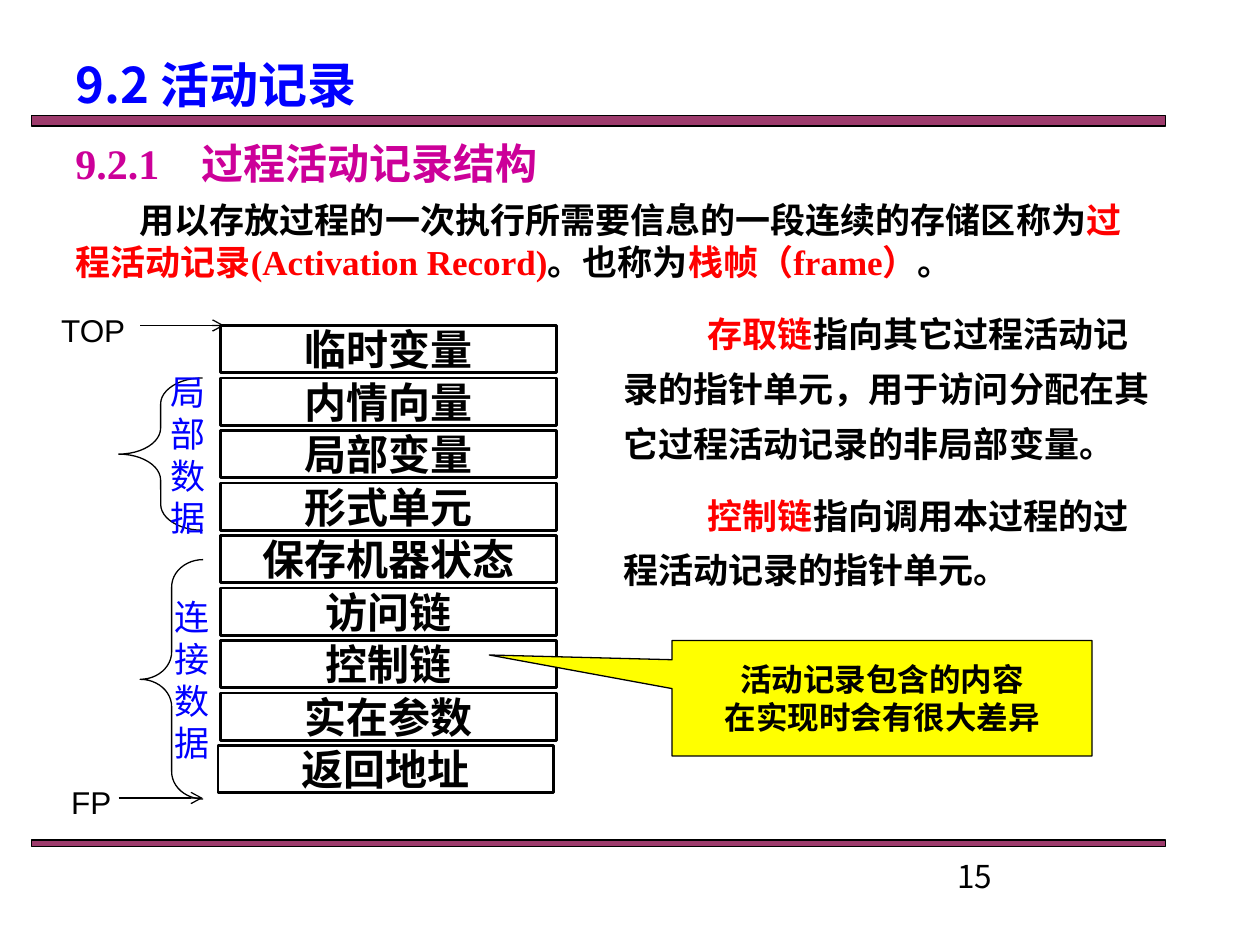
from dataclasses import dataclass
from lxml import etree
from pptx import Presentation
from pptx import util as u
from pptx.dml.color import RGBColor
from pptx.enum import shapes, text
from pptx.oxml.ns import qn


@dataclass(frozen=True)
class Theme:
    black: str = "000000"
    blue: str = "0000FF"
    red: str = "FF0000"
    magenta: str = "CC0099"
    plum: str = "993366"
    yellow: str = "FFFF00"
    cjk: str = "Noto Sans CJK SC"
    serif: str = "Times New Roman"
    sans: str = "Arial"
    title: int = 28
    heading: int = 24
    body: int = 20
    label: int = 18
    thin: float = 0.75
    thick: float = 1.5


THEME = Theme()
COLUMNS, ROWS = 24, 18
WIDTH, HEIGHT = u.Inches(10), u.Inches(7.5)
LEFT, CENTER = text.PP_ALIGN.LEFT, text.PP_ALIGN.CENTER
TOP, MIDDLE = text.MSO_ANCHOR.TOP, text.MSO_ANCHOR.MIDDLE


@dataclass(frozen=True)
class Box:
    x: float
    y: float
    w: float
    h: float

    def inner(self, x, y, w, h):
        return Box(self.x + x, self.y + y, w, h)

    def emu(self):
        return (int(self.x * WIDTH / COLUMNS), int(self.y * HEIGHT / ROWS),
                int(self.w * WIDTH / COLUMNS), int(self.h * HEIGHT / ROWS))


def assign(target, **values):
    for key, value in values.items():
        setattr(target, key, value)


def write(frame, paragraphs, size, font, color=THEME.black, bold=False,
          align=LEFT, anchor=TOP, wrap=True, indent=0, **spacing):
    assign(frame, word_wrap=wrap, vertical_anchor=anchor,
           auto_size=text.MSO_AUTO_SIZE.NONE)
    for index, runs in enumerate(paragraphs):
        paragraph = frame.paragraphs[0] if index == 0 else frame.add_paragraph()
        assign(paragraph, alignment=align, **spacing)
        if index == 0:
            paragraph.space_before = u.Pt(0)
        if indent:
            properties = paragraph._p.get_or_add_pPr()
            properties.set("marL", "0")
            properties.set("indent", str(u.Inches(indent)))
        for words, tint in ([(runs, color)] if isinstance(runs, str) else runs):
            run = paragraph.add_run()
            run.text = words
            assign(run.font, size=u.Pt(size), name=font, bold=bold)
            run.font.color.rgb = RGBColor.from_string(tint)
            latin = run._r.rPr.find(qn("a:latin"))
            east_asian = etree.Element(qn("a:ea"), typeface=THEME.cjk)
            latin.addnext(east_asian)


def text_area(slide, box, paragraphs, **style):
    area = slide.shapes.add_textbox(*box.emu())
    write(area.text_frame, paragraphs, **style)


def outlined(slide, kind, box, fill=None, weight=THEME.thin, adjust=()):
    figure = slide.shapes.add_shape(kind, *box.emu())
    figure.shadow.inherit = False
    if fill:
        figure.fill.solid()
        figure.fill.fore_color.rgb = RGBColor.from_string(fill)
    else:
        figure.fill.background()
    figure.line.color.rgb = RGBColor.from_string(THEME.black)
    figure.line.width = u.Pt(weight)
    for index, value in enumerate(adjust):
        figure.adjustments[index] = value
    return figure


def rules(slide, box):
    for y, height in ((0, 0.2), (13.8, 0.12)):
        bar = outlined(slide, shapes.MSO_SHAPE.RECTANGLE,
                       box.inner(0, y, box.w, height), THEME.plum)
        tint = bar._element.spPr.find(qn("a:solidFill")).find(qn("a:srgbClr"))
        etree.SubElement(tint, qn("a:alpha"), val="96000")


def title(slide, box):
    heading = slide.shapes.title
    assign(heading, **dict(zip(("left", "top", "width", "height"), box.emu())))
    write(heading.text_frame, ["9.2 活动记录"], THEME.title, THEME.cjk,
          THEME.blue, True, anchor=MIDDLE)


def definition(slide, box):
    text_area(slide, box.inner(0, 0, 15.4, 1.4), ["9.2.1　过程活动记录结构"],
              size=THEME.heading, font=THEME.serif, color=THEME.magenta,
              bold=True, anchor=MIDDLE)
    sentence = [
        ("用以存放过程的一次执行所需要信息的一段连续的存储区称为", THEME.black),
        ("过程活动记录(Activation Record)", THEME.red),
        ("。也称为", THEME.black),
        ("栈帧（frame）", THEME.red),
        ("。", THEME.black),
    ]
    text_area(slide, box.inner(0, 1.27, box.w, 3.14), [sentence],
              size=THEME.body, font=THEME.serif, bold=True, indent=0.51)


def record_fields(slide, box):
    fields = ("临时变量", "内情向量", "局部变量", "形式单元", "保存机器状态",
              "访问链", "控制链", "实在参数", "返回地址")
    pitch = box.h / len(fields)
    for row, field in enumerate(fields):
        shift = -0.05 if field == fields[-1] else 0
        cell = outlined(slide, shapes.MSO_SHAPE.RECTANGLE,
                        box.inner(shift, row * pitch, box.w, 0.9 * pitch),
                        weight=THEME.thick)
        write(cell.text_frame, [field], THEME.heading, THEME.sans, bold=True,
              align=CENTER, anchor=MIDDLE, wrap=False)


def field_groups(slide, box):
    groups = (("连接数据", box.inner(0.41, 3.46, 1.2, 4.56), 0.435),
              ("局部数据", box.inner(0, 0, 1.6, 2.9), 0.31))
    for name, span, curve in groups:
        brace = outlined(slide, shapes.MSO_SHAPE.LEFT_BRACE, span,
                         adjust=(curve, 0.5))
        write(brace.text_frame, list(name), THEME.body, THEME.sans, THEME.blue,
              align=CENTER, anchor=MIDDLE, wrap=False)


def stack_pointers(slide, box):
    pointers = (("FP", box.inner(0.31, 9, 1.66, 0.96), box.inner(1.66, 9.4, 1.6, 0)),
                ("TOP", box.inner(0, 0, 2.35, 0.96), box.inner(2.07, 0.4, 1.6, 0)))
    for name, label, span in pointers:
        x, y, length, _ = span.emu()
        arrow = slide.shapes.add_connector(shapes.MSO_CONNECTOR.STRAIGHT,
                                           x, y, x + length, y)
        arrow.line.color.rgb = RGBColor.from_string(THEME.black)
        arrow.line.width = u.Pt(THEME.thin)
        outline = arrow._element.spPr.find(qn("a:ln"))
        etree.SubElement(outline, qn("a:tailEnd"), type="arrow")
        etree.SubElement(arrow._element.spPr, qn("a:effectLst"))
        text_area(slide, label, [name], size=THEME.label, font=THEME.sans,
                  align=CENTER)


def link_explanations(slide, box):
    links = (
        ("存取链", "指向其它过程活动记录的指针单元，用于访问分配在其它过程活动记录的非局部变量。"),
        ("控制链", "指向调用本过程的过程活动记录的指针单元。"),
    )
    paragraphs = [[(term, THEME.red), (meaning, THEME.black)]
                  for term, meaning in links]
    text_area(slide, box, paragraphs, size=THEME.body, font=THEME.cjk, bold=True,
              indent=0.67, line_spacing=1.3, space_before=u.Pt(THEME.body / 2))


def remark(slide, box):
    callout = outlined(slide, shapes.MSO_SHAPE.RECTANGULAR_CALLOUT, box,
                       THEME.yellow, adjust=(-0.935, -0.374))
    write(callout.text_frame, ["活动记录包含的内容", "在实现时会有很大差异"],
          THEME.label, THEME.cjk, bold=True, align=CENTER, anchor=MIDDLE,
          wrap=False)


def page_number(slide, box):
    text_area(slide, box, ["15"], size=THEME.label, font=THEME.cjk)


def main():
    deck = Presentation()
    assign(deck, slide_width=WIDTH, slide_height=HEIGHT)
    slide = deck.slides.add_slide(deck.slide_layouts[5])
    rules(slide, Box(0.6, 2.2, 21.6, 13.92))
    title(slide, Box(1.2, 0.8, 21.6, 1.6))
    definition(slide, Box(1.2, 2.4, 21, 4.41))
    record_fields(slide, Box(4.2, 6.2, 6.4, 9))
    field_groups(slide, Box(2.26, 7.2, 1.6, 8))
    stack_pointers(slide, Box(0.6, 5.8, 3.67, 10))
    link_explanations(slide, Box(11.64, 5.6, 10.56, 5.9))
    remark(slide, Box(12.8, 12.2, 8, 2.2))
    page_number(slide, Box(18, 16.2, 5.6, 0.65))
    deck.save("out.pptx")


if __name__ == "__main__":
    main()
